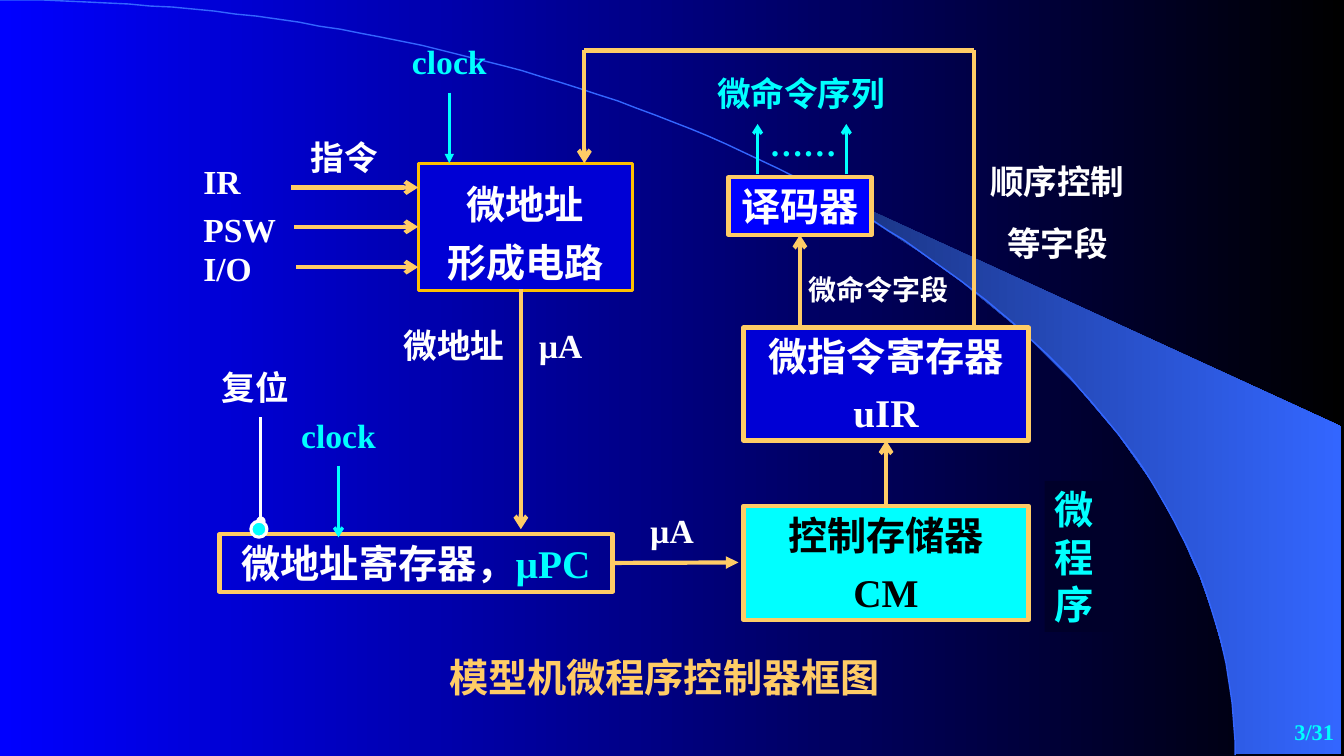
import math
from lxml import etree
from pptx import Presentation, util as u
from pptx.dml.color import RGBColor
from pptx.enum import shapes, text
from pptx.oxml.ns import qn

PX = 9144
WIDE, HIGH = 1334, 750
GOLD, CYAN, WHITE, BLACK, NAVY = "FFCC66", "00FFFF", "FFFFFF", "000000", "0000D5"
SERIF, SANS = "Times New Roman", "Noto Sans CJK SC"
LEFT, MID, RIGHT = text.PP_ALIGN.LEFT, text.PP_ALIGN.CENTER, text.PP_ALIGN.RIGHT

BEAM = [(1227, 748), (1331, 748), (1331, 423), (786, 173), (832, 199), (870, 222),
        (913, 250), (955, 280), (1016, 330), (1070, 384), (1110, 431), (1144, 479),
        (1171, 527), (1191, 572), (1204, 609), (1217, 656), (1223, 696)]
ARC = (1226, 749)
STEPS = 90

BOXES = {
    "upc": ((218, 530, 390, 57), None, GOLD, 3, [[("微地址寄存器，", WHITE), ("µPC", CYAN)]], 0, 1),
    "decode": ((723, 176, 142, 57), "0000FF", GOLD, 3, [[("译码器", WHITE)]], 0, 1),
    "uir": ((738, 325, 283, 112), NAVY, GOLD, 3, [[("微指令寄存器", WHITE)], [("uIR", WHITE)]], 6, 1),
    "store": ((738, 502, 283, 113), CYAN, GOLD, 3, [[("控制存储器", BLACK)], [("CM", BLACK)]], 7, 1),
    "former": ((415, 162, 213, 126), NAVY, "FFC000", 2.25,
               [[("微地址", WHITE)], [("形成电路", WHITE)]], 0, 1.25),
}

LINES = [
    ((880, 502), (880, 437), GOLD, 3, "arrow", ("store", 0), ("uir", 2)),
    ((794, 325), (794, 233), GOLD, 3, "arrow", None, ("decode", 2)),
    ((967, 325), (967, 50), GOLD, 3, None, None, None),
    ((967, 50), (580, 50), GOLD, 3, None, None, None),
    ((580, 50), (580, 162), GOLD, 3, "arrow", None, None),
    ((752, 173), (752, 123), CYAN, 2.25, "arrow", None, None),
    ((840, 173), (840, 123), CYAN, 2.25, "arrow", None, None),
    ((608, 558), (733, 558), GOLD, 3, "triangle", ("upc", 3), None),
    ((289, 186), (415, 186), GOLD, 3, "arrow", None, None),
    ((292, 225), (415, 225), GOLD, 3, "arrow", None, ("former", 1)),
    ((294, 265), (415, 265), GOLD, 3, "arrow", None, None),
    ((517, 287), (517, 525), GOLD, 3, "arrow", None, None),
    ((446, 92), (446, 162), CYAN, 2.25, "triangle", None, None),
    ((259, 414), (259, 517), WHITE, 2.25, "oval", None, None),
    ((336, 462), (336, 533), CYAN, 2.25, "arrow", None, None),
]

LABELS = [
    ((436, 643, 475, 57), ["模型机微程序控制器框图"], 28, GOLD, LEFT),
    ((967, 155, 165, 111), ["顺序控制", "等字段"], 24, WHITE, MID),
    ((754, 117, 92, 50), ["……"], 24, CYAN, LEFT),
    ((702, 67, 192, 50), ["微命令序列"], 24, CYAN, LEFT),
    ((793, 265, 192, 44), ["微命令字段"], 20, WHITE, LEFT),
    ((192, 155, 100, 50), ["IR"], 24, WHITE, LEFT),
    ((192, 202, 117, 50), ["PSW"], 24, WHITE, LEFT),
    ((192, 241, 81, 50), ["I/O"], 24, WHITE, LEFT),
    ((258, 131, 167, 50), ["指令"], 24, WHITE, MID),
    ((391, 36, 110, 50), ["clock"], 24, CYAN, MID),
    ((281, 407, 110, 50), ["clock"], 24, CYAN, MID),
    ((391, 317, 128, 50), ["微地址"], 24, WHITE, LEFT),
    ((525, 317, 71, 50), ["µA"], 24, WHITE, LEFT),
    ((612, 501, 110, 50), ["µA"], 24, WHITE, MID),
    ((210, 359, 102, 50), ["复位"], 24, WHITE, LEFT),
    ((1056, 708, 278, 34), ["3/31"], 16, CYAN, RIGHT),
]
SIDE = ((1037, 477, 70, 150), [[("微程序", CYAN)]])
KNOB = (249, 517, 16, 16)


def rgb(code):
    return RGBColor.from_string(code)


def emu(nums):
    return [u.Emu(round(n * PX)) for n in nums]


def blend(fill, first, last):
    fill.gradient()
    fill.gradient_angle = 0
    for stop, code in zip(fill.gradient_stops, (first, last)):
        stop.color.rgb = rgb(code)


def paint(shape, fill, line, width=1):
    shape.shadow.inherit = False
    if fill:
        shape.fill.solid()
        shape.fill.fore_color.rgb = rgb(fill)
    else:
        shape.fill.background()
    if line:
        shape.line.color.rgb = rgb(line)
        shape.line.width = u.Pt(width)
    else:
        shape.line.fill.background()


def style(font, words, size, code):
    font.size, font.bold = u.Pt(size), True
    font.color.rgb = rgb(code)
    font.name = SANS if any(c > "⺀" for c in words) else SERIF


def write(shape, paras, size, align, gap=0, lead=1):
    frame = shape.text_frame
    frame.word_wrap = True
    frame.vertical_anchor = text.MSO_ANCHOR.TOP
    for i, runs in enumerate(paras):
        para = frame.add_paragraph() if i else frame.paragraphs[0]
        para.alignment = align
        para.line_spacing = lead
        if i:
            para.space_before = u.Pt(gap)
        for words, code in runs:
            run = para.add_run()
            run.text = words
            style(para.font if len(runs) == 1 else run.font, words, size, code)
        for latin in list(para._p.iter(qn("a:latin"))):
            east = etree.Element(qn("a:ea"), typeface=SANS)
            latin.addnext(east)


def outline(pts, close):
    form = pool.build_freeform(*pts[0], scale=PX)
    form.add_line_segments(pts[1:], close=close)
    return form.convert_to_shape()


def link(start, end, code, width, tip, tail, head):
    wire = pool.add_connector(shapes.MSO_CONNECTOR.STRAIGHT, *emu(start + end))
    if tail:
        wire.begin_connect(boxes[tail[0]], tail[1])
    if head:
        wire.end_connect(boxes[head[0]], head[1])
    wire.line.color.rgb = rgb(code)
    wire.line.width = u.Pt(width)
    if tip:
        etree.SubElement(wire.line._get_or_add_ln(), qn("a:tailEnd"), type=tip)
    etree.SubElement(wire._element.spPr, qn("a:effectLst"))


deck = Presentation()
deck.slide_width, deck.slide_height = emu((WIDE, HIGH))
slide = deck.slides.add_slide(deck.slide_layouts[6])
pool = slide.shapes
blend(slide.background.fill, "0000FF", BLACK)

beam = outline(BEAM, True)
paint(beam, None, None)
blend(beam.fill, "182F76", "3366FF")
turns = [math.pi / 2 * i / STEPS for i in range(STEPS + 1)]
arc = outline([(ARC[0] * math.sin(t), ARC[1] * (1 - math.cos(t))) for t in turns], False)
paint(arc, None, "3366FF")

boxes = {}
for key, (rect, fill, line, width, paras, gap, lead) in BOXES.items():
    boxes[key] = pool.add_shape(shapes.MSO_SHAPE.RECTANGLE, *emu(rect))
    paint(boxes[key], fill, line, width)
    write(boxes[key], paras, 28, MID, gap, lead)

for row in LINES:
    link(*row)

knob = pool.add_shape(shapes.MSO_SHAPE.OVAL, *emu(KNOB))
paint(knob, CYAN, WHITE, 2.25)
side = pool.add_shape(shapes.MSO_SHAPE.RECTANGLE, *emu(SIDE[0]))
paint(side, "00002A", None)
write(side, SIDE[1], 28, LEFT)

for rect, rows, size, code, align in LABELS:
    write(pool.add_textbox(*emu(rect)), [[(row, code)] for row in rows], size, align, 15)

deck.save("out.pptx")
